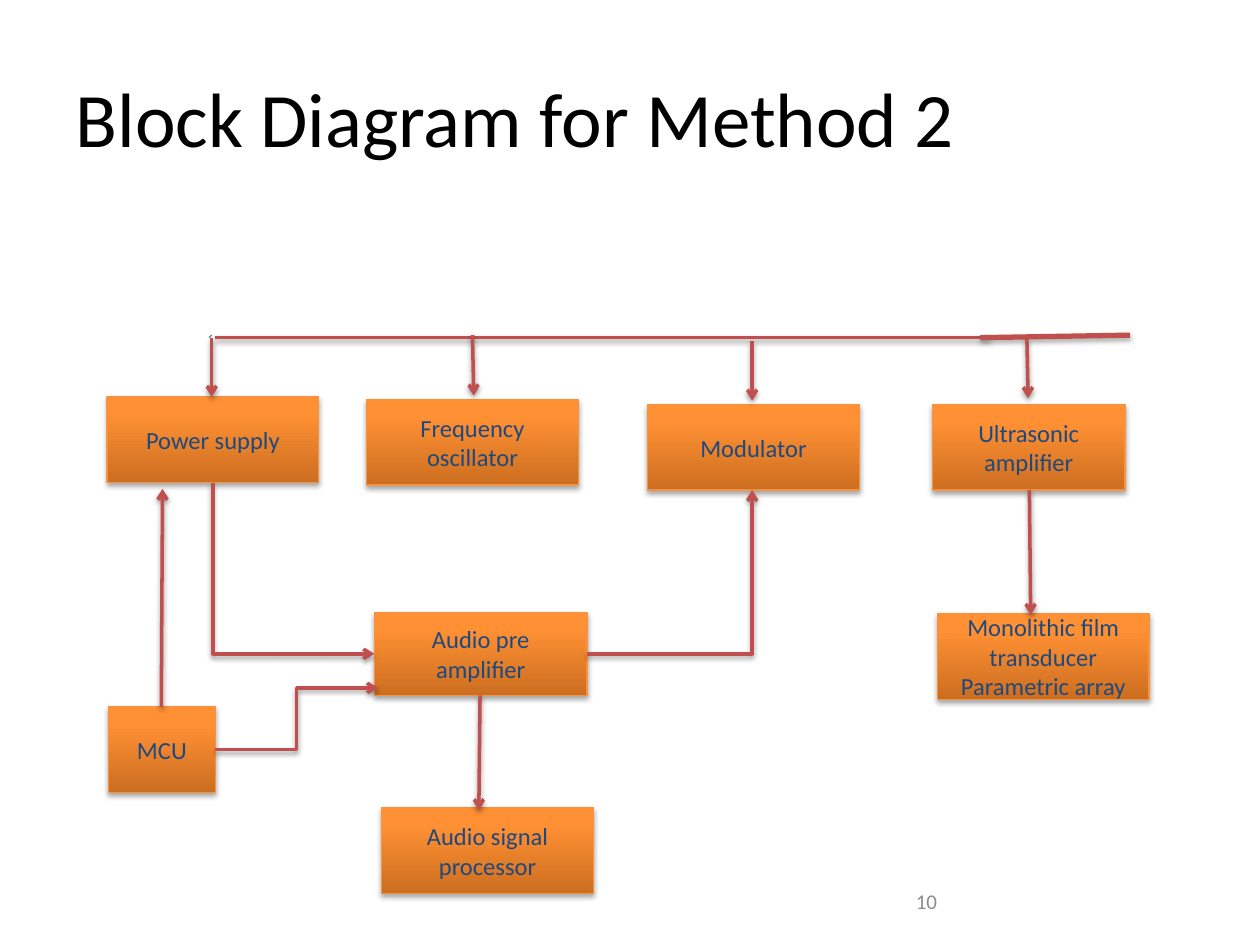
from copy import deepcopy

from lxml import etree
from pptx import Presentation
from pptx import util as u
from pptx.dml.color import RGBColor
from pptx.enum import shapes, text
from pptx.oxml.ns import qn

COLORS = {
    "title": "000000", "number": "8C8C8C", "label": "1F497D",
    "edge": "F69240", "wire": "C0504D", "tick": "4B7EBC", "shadow": "000000",
}
BLOCK_STOPS = [(0, "CC6E20"), (0.8, "FF9034"), (1, "FF9136")]
BLOCK_SHADOW = (3.1, 1.8, 35)
WIRE_SHADOW = (3.1, 1.6, 38)

# left, top, width, height, paragraphs
BLOCKS = [
    (0.85, 3.15, 1.68, 0.68, ["Power supply"]),
    (2.91, 3.17, 1.68, 0.68, ["Frequency oscillator"]),
    (5.14, 3.21, 1.68, 0.68, ["Modulator"]),
    (7.4, 3.21, 1.53, 0.68, ["Ultrasonic amplifier"]),
    (2.97, 4.86, 1.69, 0.66, ["Audio pre amplifier"]),
    (7.44, 4.87, 1.68, 0.68, ["Monolithic film transducer", "Parametric array"]),
    (3.03, 6.41, 1.68, 0.68, ["Audio signal processor"]),
    (0.86, 5.61, 0.85, 0.68, ["MCU"]),
]
# start x, start y, end x, end y
ARROWS = [
    (1.68, 2.68, 1.68, 3.15),
    (3.75, 2.66, 3.76, 3.14),
    (5.97, 2.71, 5.97, 3.18),
    (8.15, 2.69, 8.16, 3.16),
    (8.17, 3.89, 8.18, 4.88),
    (3.81, 5.52, 3.8, 6.43),
    (1.28, 5.61, 1.29, 3.88),
]


def rgb(name):
    """Return the named colour."""
    return RGBColor.from_string(COLORS[name])


def set_effects(shape, shadow=None):
    """Give a shape a soft shadow below it, or no effects at all."""
    effects = etree.SubElement(shape._element.spPr, qn("a:effectLst"))
    if shadow:
        blur, distance, alpha = shadow
        outer = etree.SubElement(
            effects, qn("a:outerShdw"), blurRad=str(u.Pt(blur)),
            dist=str(u.Pt(distance)), dir="5400000", rotWithShape="0")
        color = etree.SubElement(outer, qn("a:srgbClr"), val=COLORS["shadow"])
        etree.SubElement(color, qn("a:alpha"), val=str(alpha * 1000))


def write(frame, paragraphs, size, color, align):
    """Fill a text frame with evenly formatted paragraphs."""
    frame.word_wrap = True
    frame.vertical_anchor = text.MSO_ANCHOR.MIDDLE
    frame.text = "\n".join(paragraphs)
    style = {"size": u.Pt(size), "name": "Calibri"}
    for paragraph in frame.paragraphs:
        paragraph.alignment = align
        for name, value in style.items():
            setattr(paragraph.font, name, value)
        paragraph.font.color.rgb = rgb(color)


def place(shape, left, top, width, height):
    """Move and size a shape, in inches."""
    box = {"left": left, "top": top, "width": width, "height": height}
    for name, value in box.items():
        setattr(shape, name, u.Inches(value))


def add_block(slide, left, top, width, height, label):
    """Add a shaded orange block with its label."""
    block = slide.shapes.add_shape(
        shapes.MSO_SHAPE.RECTANGLE, *map(u.Inches, (left, top, width, height)))
    block.fill.gradient()
    block.fill.gradient_angle = 90
    stop_list = block._element.spPr.find(".//" + qn("a:gsLst"))
    stop_list.append(deepcopy(stop_list[-1]))
    for stop, (position, color) in zip(block.fill.gradient_stops, BLOCK_STOPS):
        stop.position = position
        stop.color.rgb = RGBColor.from_string(color)
    block.line.color.rgb = rgb("edge")
    block.line.width = u.Pt(0.75)
    set_effects(block, BLOCK_SHADOW)
    write(block.text_frame, label, 14, "label", text.PP_ALIGN.CENTER)


def add_wire(slide, ends, color="wire", width=2, arrow=True,
             shadow=WIRE_SHADOW, preset="line", turn=0):
    """Add a straight or bent connector, turned clockwise by some degrees."""
    wire = slide.shapes.add_connector(
        shapes.MSO_CONNECTOR.STRAIGHT, *map(u.Inches, ends))
    properties = wire._element.spPr
    properties.find(qn("a:prstGeom")).set("prst", preset)
    if turn:
        properties.find(qn("a:xfrm")).set("rot", str(turn * 60000))
    wire.line.color.rgb = rgb(color)
    wire.line.width = u.Pt(width)
    if arrow:
        etree.SubElement(properties.find(qn("a:ln")), qn("a:tailEnd"), type="arrow")
    set_effects(wire, shadow)


def main():
    """Build the block diagram slide."""
    deck = Presentation()
    deck.slide_width, deck.slide_height = u.Inches(10), u.Inches(7.5)
    slide = deck.slides.add_slide(deck.slide_layouts[5])

    title = slide.shapes.title
    place(title, 0.5, 0.3, 9, 1.25)
    write(title.text_frame, ["Block Diagram for Method 2"], 44, "title",
          text.PP_ALIGN.LEFT)
    number = slide.shapes.add_textbox(*map(u.Inches, (7.17, 6.95, 2.33, 0.4)))
    write(number.text_frame, ["10"], 12, "number", text.PP_ALIGN.LEFT)

    # Supply rail
    add_wire(slide, (1.71, 2.68, 7.85, 2.68), arrow=False)
    add_wire(slide, (7.78, 2.68, 8.97, 2.66), width=3, arrow=False,
             shadow=BLOCK_SHADOW)
    add_wire(slide, (1.68, 2.66, 1.66, 2.68), color="tick", width=0.75,
             arrow=False, shadow=None)

    for *box, label in BLOCKS:
        add_block(slide, *box, label)
    for ends in ARROWS:
        add_wire(slide, ends)

    # Bent links into and out of the pre amplifier
    add_wire(slide, (4.66, 5.19, 5.97, 3.89), preset="bentConnector2")
    add_wire(slide, (3.01, 3.87, 1.65, 5.15), preset="bentConnector2", turn=270)
    add_wire(slide, (1.71, 5.95, 3, 5.46), preset="bentConnector3")

    deck.save("out.pptx")


main()
